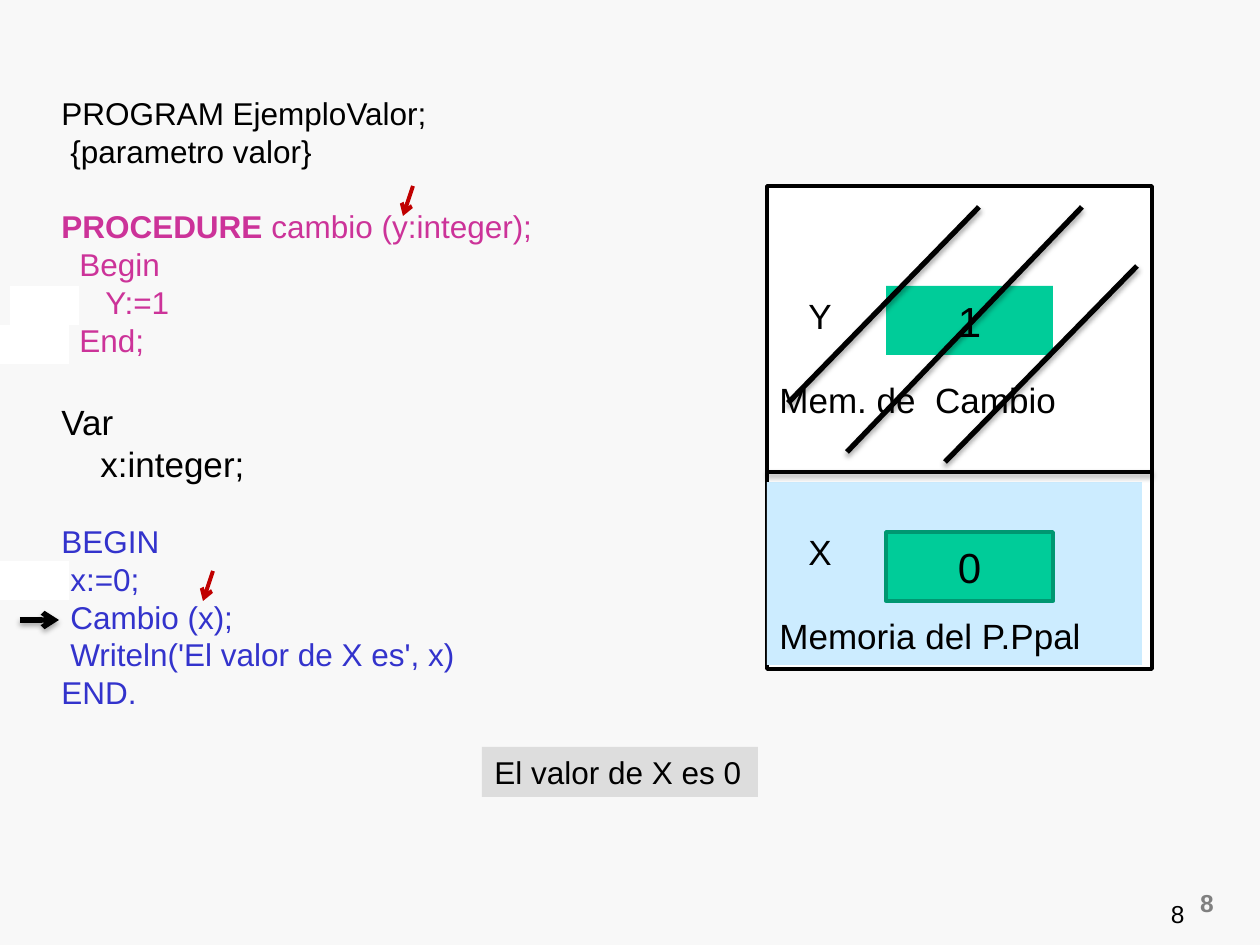
from lxml.etree import SubElement
from pptx import Presentation
from pptx.dml.color import RGBColor
from pptx.enum.shapes import MSO_CONNECTOR, MSO_SHAPE
from pptx.enum.text import MSO_ANCHOR, PP_ALIGN
from pptx.oxml.ns import qn
from pptx.util import Emu, Pt

EMU_PER_PX = 914400 / 126
FONT = "Arial"
PAPER = RGBColor(0xF8, 0xF8, 0xF8)
WHITE = RGBColor(0xFF, 0xFF, 0xFF)
BLACK = RGBColor(0x00, 0x00, 0x00)
GRAY = RGBColor(0x80, 0x80, 0x80)
OUTPUT_GRAY = RGBColor(0xDD, 0xDD, 0xDD)
PROCEDURE_PINK = RGBColor(0xCC, 0x33, 0x99)
MAIN_BLUE = RGBColor(0x33, 0x33, 0xCC)
POINTER_RED = RGBColor(0xC0, 0x00, 0x00)
CELL_GREEN = RGBColor(0x00, 0xCC, 0x99)
CELL_EDGE = RGBColor(0x00, 0x97, 0x71)
MEMORY_BLUE = RGBColor(0xCC, 0xEC, 0xFF)

CODE = [
    ("PROGRAM EjemploValor;", {}),
    ("{parametro valor}", {"indent": 9}),
    ("PROCEDURE", {"color": PROCEDURE_PINK, "bold": True, "before": 21.5,
                   "rest": " cambio (y:integer);"}),
    ("Begin", {"color": PROCEDURE_PINK, "indent": 18}),
    ("Y:=1", {"color": PROCEDURE_PINK, "indent": 44}),
    ("End;", {"color": PROCEDURE_PINK, "indent": 18}),
    ("Var", {"size": 20, "before": 24}),
    ("x:integer;", {"size": 20, "indent": 39}),
    ("BEGIN", {"color": MAIN_BLUE, "before": 21.5}),
    ("x:=0;", {"color": MAIN_BLUE, "indent": 9}),
    ("Cambio (x);", {"color": MAIN_BLUE, "indent": 9}),
    ("Writeln('El valor de X es', x)", {"color": MAIN_BLUE, "indent": 9}),
    ("END.", {"color": MAIN_BLUE}),
]


def px(length):
    """Turn pixels into EMU."""
    return Emu(round(length * EMU_PER_PX))


def add_run(paragraph, text, size, color, bold):
    """Append one formatted run to a paragraph."""
    run = paragraph.add_run()
    run.text = text
    run.font.name = FONT
    run.font.size = Pt(size)
    run.font.bold = bold
    run.font.color.rgb = color


def write(paragraph, text, size=18, color=BLACK, bold=False, rest="",
          indent=0, before=0, align=PP_ALIGN.LEFT):
    """Fill a paragraph with text, plus an optional non-bold rest."""
    paragraph.alignment = align
    paragraph.space_before = Pt(before)
    paragraph._p.get_or_add_pPr().set("marL", str(px(indent)))
    add_run(paragraph, text, size, color, bold)
    if rest:
        add_run(paragraph, rest, size, color, False)


def write_lines(frame, lines, anchor=MSO_ANCHOR.TOP, top=6):
    """Write (text, format) pairs as the paragraphs of a text frame."""
    frame.word_wrap = True
    frame.vertical_anchor = anchor
    frame.margin_top = px(top)
    for number, (text, style) in enumerate(lines):
        paragraph = frame.add_paragraph() if number else frame.paragraphs[0]
        write(paragraph, text, **style)


def add_text(slide, box, lines, **layout):
    """Add a text box holding the given lines."""
    textbox = slide.shapes.add_textbox(*map(px, box))
    write_lines(textbox.text_frame, lines, **layout)


def add_block(slide, box, fill, edge=None):
    """Add a flat rectangle, outlined when an edge colour is given."""
    block = slide.shapes.add_shape(MSO_SHAPE.RECTANGLE, *map(px, box))
    block.shadow.inherit = False
    block.fill.solid()
    block.fill.fore_color.rgb = fill
    if edge is None:
        block.line.fill.background()
    else:
        block.line.color.rgb = edge
        block.line.width = Pt(2)
    return block


def add_line(slide, start, end, width=3, color=BLACK, arrow=False, shadow=True):
    """Add a straight line with an optional arrowhead and soft shadow."""
    line = slide.shapes.add_connector(
        MSO_CONNECTOR.STRAIGHT, *map(px, (*start, *end)))
    line.line.color.rgb = color
    line.line.width = Pt(width)
    properties = line._element.spPr
    if arrow:
        SubElement(properties.find(qn("a:ln")), qn("a:tailEnd"), type="arrow")
    effects = SubElement(properties, qn("a:effectLst"))
    if shadow:
        outer = SubElement(effects, qn("a:outerShdw"), blurRad=str(Pt(3.1)),
                           dist=str(Pt(1.8)), dir="5400000", rotWithShape="0")
        tint = SubElement(outer, qn("a:srgbClr"), val=str(BLACK))
        SubElement(tint, qn("a:alpha"), val="35000")


def add_memory_text(frame, variable, caption):
    """Write a variable name and the caption of its memory area."""
    write_lines(frame, [(variable, {"size": 20, "indent": 29}),
                        (caption, {"size": 20, "before": 24})], top=48)


def add_value_cell(slide, top, value, edge=None):
    """Add the green cell that holds a variable's value."""
    cell = add_block(slide, (886, top, 167, 69), CELL_GREEN, edge)
    write_lines(cell.text_frame,
                [(value, {"size": 24, "align": PP_ALIGN.CENTER})],
                anchor=MSO_ANCHOR.MIDDLE)


def add_memory(slide):
    """Draw the memory areas of the main program and of the procedure."""
    add_block(slide, (767, 186, 385, 483), WHITE, BLACK)
    main_area = add_block(slide, (767, 482, 375, 183), MEMORY_BLUE)
    add_memory_text(main_area.text_frame, "X", "Memoria del P.Ppal")
    add_value_cell(slide, 532, "0", CELL_EDGE)
    add_line(slide, (767, 472), (1152, 472), width=2)
    procedure_area = slide.shapes.add_textbox(*map(px, (767, 246, 375, 183)))
    add_memory_text(procedure_area.text_frame, "Y", "Mem. de  Cambio")
    add_value_cell(slide, 286, "1")
    for start, end in [((979, 207), (788, 403)), ((1082, 207), (847, 452)),
                       ((1137, 266), (945, 462))]:
        add_line(slide, start, end)


def add_program(slide):
    """Write the program with its execution and parameter pointers."""
    add_text(slide, (49, 88, 658, 636), CODE)
    for left, top in [(0, 561), (10, 286), (0, 325)]:
        add_block(slide, (left, top, 69, 39), WHITE)
    for x, y in [(213, 571), (413, 186)]:
        add_line(slide, (x, y), (x - 10, y + 30), width=2.25,
                 color=POINTER_RED, arrow=True, shadow=False)
    add_line(slide, (20, 620), (59, 620), arrow=True)


def main():
    """Build the slide and save it."""
    deck = Presentation()
    deck.slide_width, deck.slide_height = px(1260), px(945)
    slide = deck.slides.add_slide(deck.slide_layouts[6])
    slide.background.fill.solid()
    slide.background.fill.fore_color.rgb = PAPER
    number = {"size": 14, "align": PP_ALIGN.RIGHT}
    add_text(slide, (1144, 882, 82, 42),
             [("8", {**number, "color": GRAY, "bold": True})])
    add_text(slide, (935, 872, 262, 63), [("8", number)],
             anchor=MSO_ANCHOR.BOTTOM)
    add_program(slide)
    add_memory(slide)
    output = add_block(slide, (482, 747, 276, 50), OUTPUT_GRAY)
    write_lines(output.text_frame, [("El valor de X es 0", {})])
    deck.save("out.pptx")


if __name__ == "__main__":
    main()
